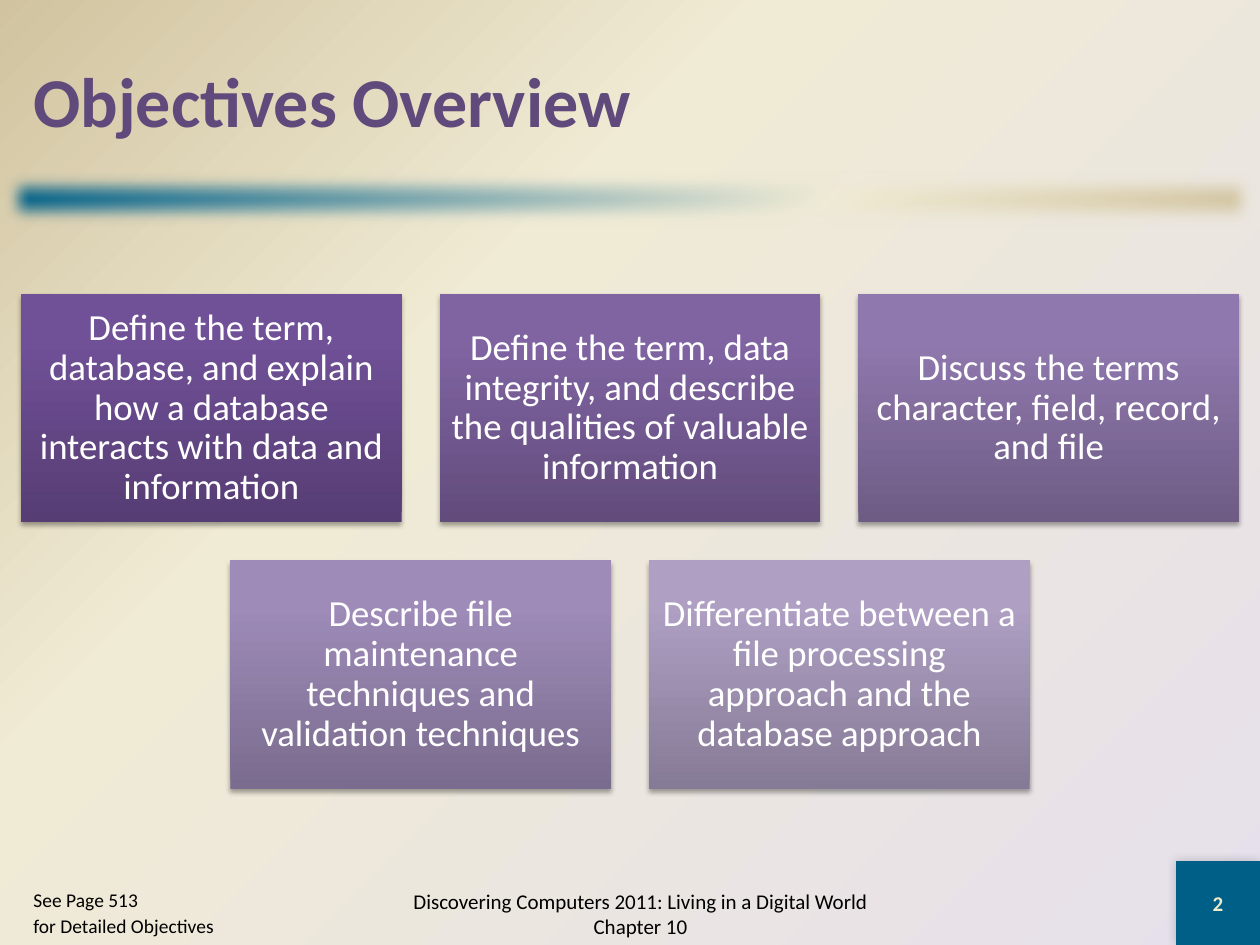
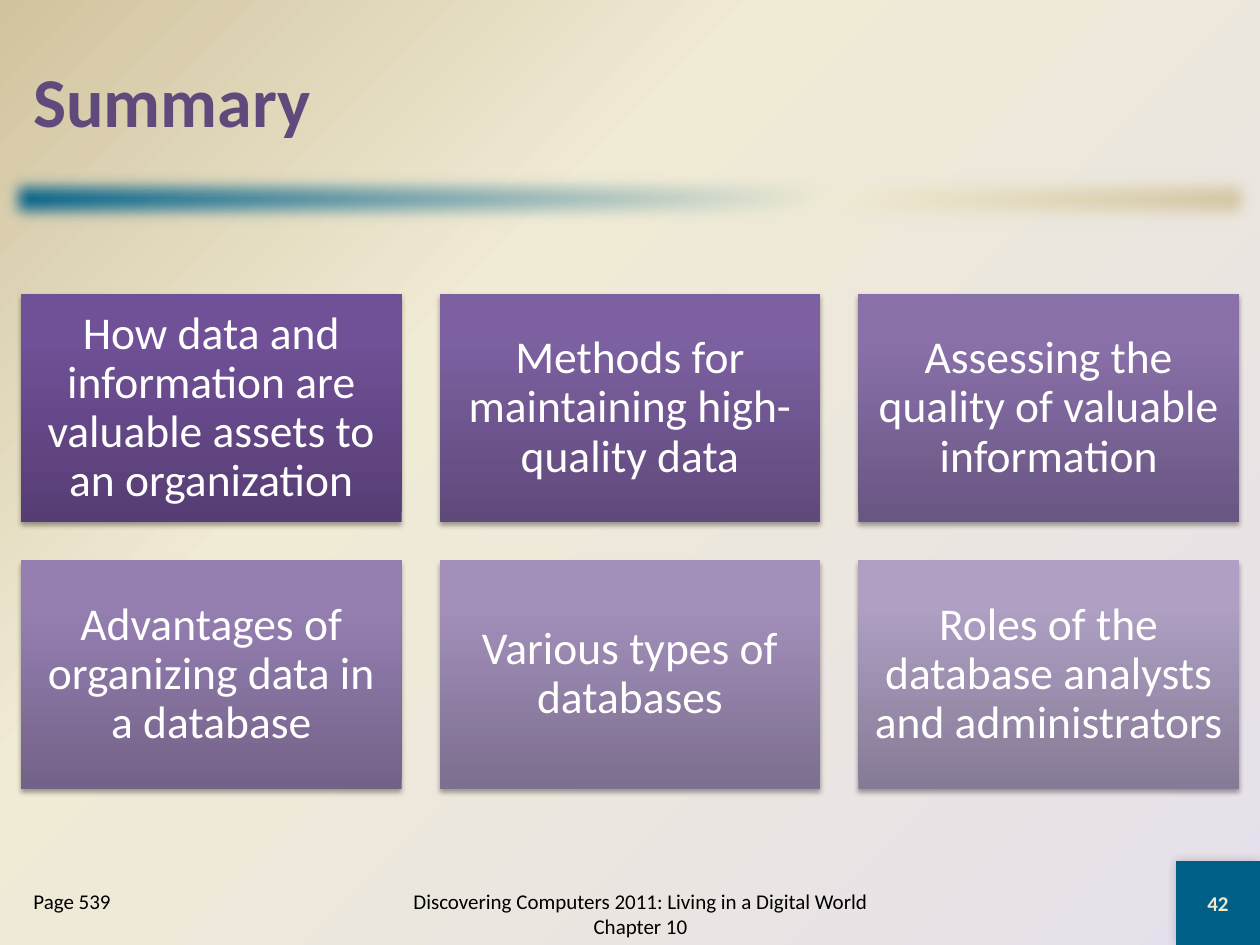
"""Build the objectives and summary slides of a chapter on databases."""
from pptx import Presentation, util as u
from pptx.dml.color import RGBColor
from pptx.enum import shapes, text
from pptx.oxml import parse_xml
from pptx.oxml.ns import nsdecls, qn

COLUMNS, ROWS = 60, 45
MARGIN = 1
CARDS_TOP = 14
CARDS_PER_ROW = 3
GAP_SHARE, HEIGHT_SHARE = 0.1, 0.6
TEAL, CREAM, SAND, LAVENDER = "005F86", "F0EBD5", "D1C39F", "E6E0EC"
PURPLE, WHITE, BLACK, IVORY = "604A7B", "FFFFFF", "000000", "EEEBCA"
FIRST_CARD = ("563D74", "705097", "704F99")
LAST_CARD = ("867B96", "AE9FC3", "AE9FC4")
FOOTER = "Discovering Computers 2011: Living in a Digital World Chapter 10"


def color(value):
    """Turn a hex string into a colour."""
    return RGBColor.from_string(value)


def blend(start, end, share):
    """Mix two hex colours."""
    pairs = zip(color(start), color(end))
    return "".join(f"{round(a + (b - a) * share):02X}" for a, b in pairs)


def gradient(fill, properties, stops, direction):
    """Give a fill the stops (percent, colour) and a direction element."""
    fill.gradient()
    element = properties.find(qn("a:gradFill"))
    for child in list(element):
        element.remove(child)
    marks = "".join(f'<a:gs pos="{position * 1000}"><a:srgbClr val="{value}"/></a:gs>'
                    for position, value in stops)
    element.append(parse_xml(f'<a:gsLst {nsdecls("a")}>{marks}</a:gsLst>'))
    element.append(parse_xml(direction))


def linear(angle):
    """Describe a straight gradient direction."""
    return f'<a:lin {nsdecls("a")} ang="{angle * 60000}" scaled="0"/>'


class Deck:
    """Hold the shared style and the current slide."""

    def __init__(self):
        """Start an empty presentation."""
        self.presentation = Presentation()
        self.presentation.slide_width = u.Inches(10)
        self.presentation.slide_height = u.Inches(7.5)
        self.slide = None

    def box(self, left, top, width, height):
        """Turn grid columns and rows into lengths."""
        column = self.presentation.slide_width / COLUMNS
        row = self.presentation.slide_height / ROWS
        return [round(n) for n in (left * column, top * row, width * column, height * row)]

    def set_words(self, shape, words, size, ink=BLACK, bold=False, align=text.PP_ALIGN.CENTER,
                  anchor=text.MSO_ANCHOR.MIDDLE, line_spacing=1.0):
        """Put formatted words into a shape."""
        frame = shape.text_frame
        frame.text = words
        frame.word_wrap = True
        frame.vertical_anchor = anchor
        for index, paragraph in enumerate(frame.paragraphs):
            paragraph.alignment = align
            paragraph.line_spacing = line_spacing
            paragraph.space_before = u.Pt(1.5 if index else 0)
            for run in paragraph.runs:
                run.font.name = "Calibri"
                run.font.size = u.Pt(size)
                run.font.bold = bold
                run.font.color.rgb = color(ink)

    def label(self, place, words, size, **style):
        """Add a text box."""
        self.set_words(self.slide.shapes.add_textbox(*self.box(*place)), words, size, **style)

    def rectangle(self, place):
        """Add a rectangle with neither outline nor shadow."""
        shape = self.slide.shapes.add_shape(shapes.MSO_SHAPE.RECTANGLE, *self.box(*place))
        shape.shadow.inherit = False
        shape.line.fill.background()
        return shape

    def effect(self, shape, markup):
        """Add an effect to a shape."""
        effects = shape.element.spPr.find(qn("a:effectLst"))
        effects.append(parse_xml(markup))

    def shadow(self, shape, opacity, blur, distance, angle):
        """Add an outer shadow, measured in points."""
        self.effect(shape, f'<a:outerShdw {nsdecls("a")} blurRad="{u.Pt(blur)}" '
                    f'dist="{u.Pt(distance)}" dir="{angle * 60000}" rotWithShape="0">'
                    f'<a:srgbClr val="{BLACK}"><a:alpha val="{opacity * 1000}"/>'
                    '</a:srgbClr></a:outerShdw>')

    def band(self):
        """Add the soft band under the title."""
        band = self.rectangle((0, 8, COLUMNS, 3))
        gradient(band.fill, band.element.spPr, [(0, TEAL), (65, CREAM), (100, SAND)], linear(45))
        self.effect(band, f'<a:softEdge {nsdecls("a")} rad="{u.Pt(10)}"/>')

    def number(self, value):
        """Add the slide number in its corner square."""
        square = self.rectangle((COLUMNS - 4, ROWS - 4, 4, 4))
        square.fill.solid()
        square.fill.fore_color.rgb = color(TEAL)
        self.shadow(square, 20, 6, 0, 225)
        self.set_words(square, str(value), 12, ink=IVORY, bold=True)

    def start(self, title, number, pages, pages_size):
        """Add a slide with its background, title and footers."""
        self.slide = self.presentation.slides.add_slide(self.presentation.slide_layouts[6])
        fill = self.slide.background.fill
        fill.solid()
        gradient(fill, self.slide.element.find(".//" + qn("p:bgPr")),
                 [(0, LAVENDER), (65, CREAM), (100, SAND)],
                 f'<a:path {nsdecls("a")} path="circle">'
                 '<a:fillToRect l="100000" t="100000"/></a:path>')
        self.band()
        self.number(number)
        self.label((MARGIN, 1, COLUMNS - 2 * MARGIN, 7.5), title, 40, ink=PURPLE, bold=True,
                   align=text.PP_ALIGN.LEFT)
        self.label((18, ROWS - 3, 25, 3), FOOTER, 12)
        self.label((MARGIN, ROWS - 3, 11, 3), pages, pages_size,
                   align=text.PP_ALIGN.LEFT, anchor=text.MSO_ANCHOR.TOP)

    def card(self, place, words, size, inset, share):
        """Add one card whose purple fades with its share of the series."""
        card = self.rectangle(place)
        shades = [blend(first, last, share) for first, last in zip(FIRST_CARD, LAST_CARD)]
        gradient(card.fill, card.element.spPr, zip((0, 80, 100), shades), linear(270))
        self.shadow(card, 35, 3.1, 1.8, 90)
        frame = card.text_frame
        frame.margin_left = frame.margin_right = u.Inches(inset)
        frame.margin_top = frame.margin_bottom = u.Inches(inset)
        self.set_words(card, words, size, ink=WHITE, line_spacing=0.9)

    def cards(self, topics, size, inset):
        """Lay out cards in centred rows."""
        width = (COLUMNS - 2 * MARGIN) / (CARDS_PER_ROW + GAP_SHARE * (CARDS_PER_ROW - 1))
        gap, height = width * GAP_SHARE, width * HEIGHT_SHARE
        for index, words in enumerate(topics):
            row, column = divmod(index, CARDS_PER_ROW)
            count = min(CARDS_PER_ROW, len(topics) - row * CARDS_PER_ROW)
            left = (COLUMNS - count * width - (count - 1) * gap) / 2 + column * (width + gap)
            place = (left, CARDS_TOP + row * (height + gap), width, height)
            self.card(place, words, size, inset, index / (len(topics) - 1))


def main():
    """Build and save both slides."""
    deck = Deck()
    deck.start("Objectives Overview", 2, "See Page 513\nfor Detailed Objectives", 11.1)
    deck.cards([
        "Define the term, database, and explain how a database interacts with data and information",
        "Define the term, data integrity, and describe the qualities of valuable information",
        "Discuss the terms character, field, record, and file",
        "Describe file maintenance techniques and validation techniques",
        "Differentiate between a file processing approach and the database approach",
    ], 21, 0.09)
    deck.start("Summary", 42, "Page 539", 12)
    deck.cards([
        "How data and information are valuable assets to an organization",
        "Methods for maintaining high-quality data",
        "Assessing the quality of valuable information",
        "Advantages of organizing data in a database",
        "Various types of databases",
        "Roles of the database analysts and administrators",
    ], 26, 0.11)
    deck.presentation.save("out.pptx")


if __name__ == "__main__":
    main()
